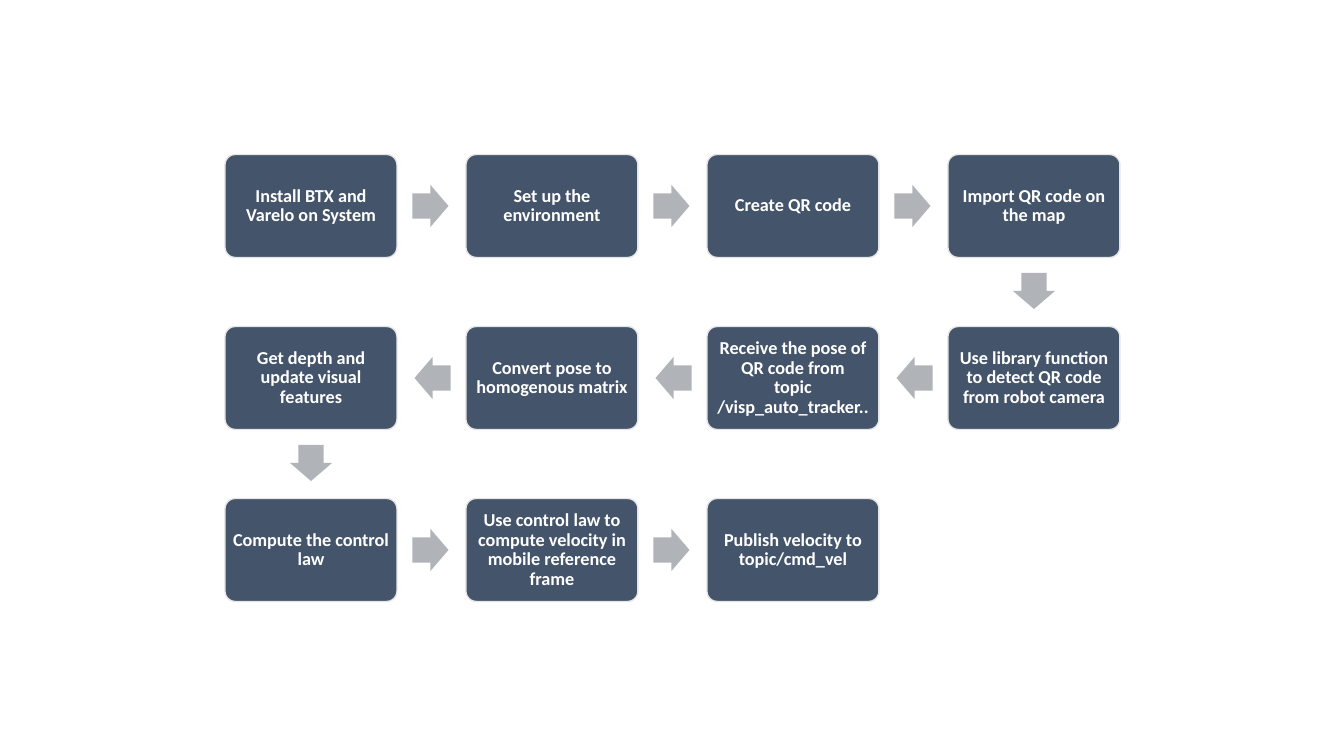
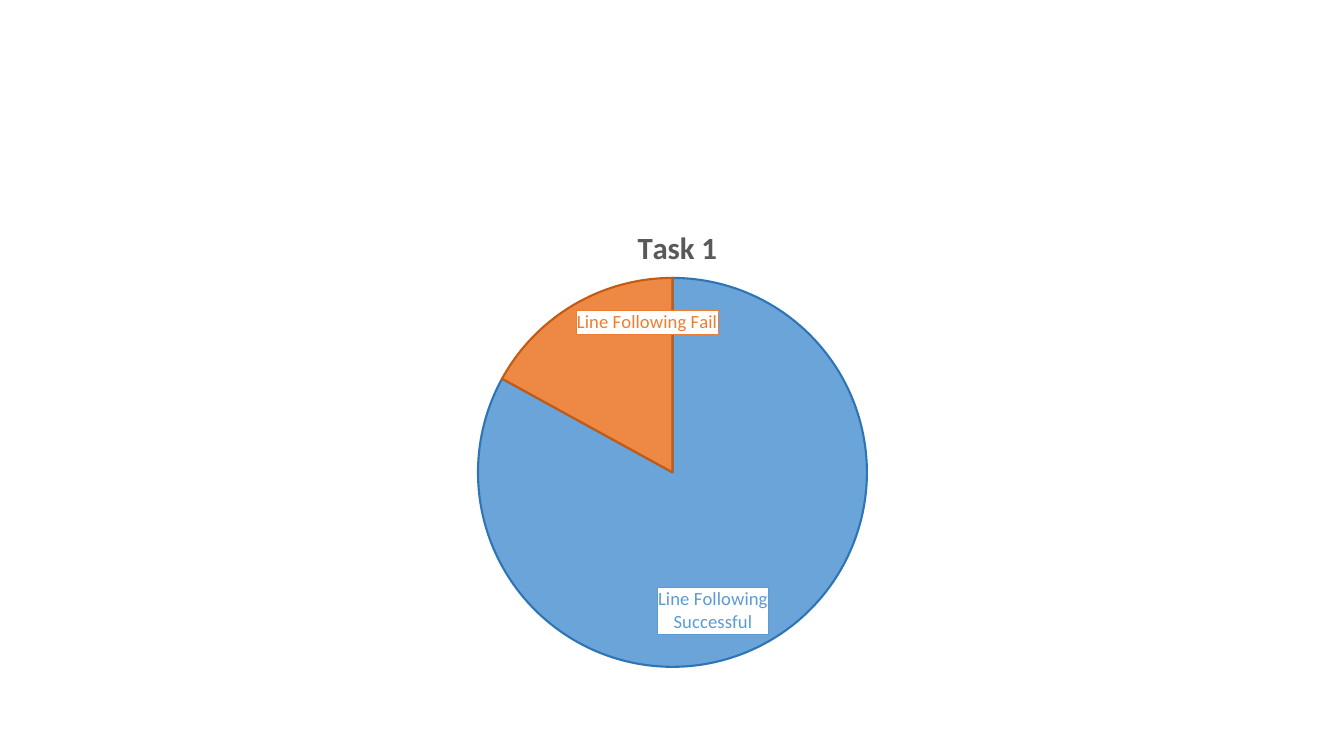
"""Build a robot control flow slide and a task result pie chart."""
from lxml.etree import fromstring
from pptx import Presentation
from pptx.chart.data import CategoryChartData
from pptx.dml.color import RGBColor
from pptx.enum.chart import XL_CHART_TYPE as ChartType, XL_LABEL_POSITION as LabelPosition
from pptx.enum.shapes import MSO_SHAPE as Shape
from pptx.enum.text import MSO_ANCHOR as Anchor, PP_ALIGN as Align
from pptx.oxml import parse_xml
from pptx.oxml.ns import nsdecls
from pptx.util import Pt

PIXEL = 914400 / 100.8
FONT = "Calibri"
WHITE = RGBColor(0xFF, 0xFF, 0xFF)
SLATE = RGBColor(0x44, 0x54, 0x6A)
PALE = RGBColor(0xE7, 0xE6, 0xE6)
SILVER = RGBColor(0xB0, 0xB4, 0xB9)
GREY = RGBColor(0x59, 0x59, 0x59)
BLUE = RGBColor(0x5B, 0x9B, 0xD5)
DARK_BLUE = RGBColor(0x2E, 0x75, 0xB6)
ORANGE = RGBColor(0xED, 0x7D, 0x31)
DARK_ORANGE = RGBColor(0xC5, 0x5A, 0x11)


def px(length):
    return round(length * PIXEL)


class Deck:
    def __init__(self):
        self.presentation = Presentation()
        self.presentation.slide_width = px(1344)
        self.presentation.slide_height = px(756)
        self.slide = None

    def new_slide(self):
        self.slide = self.presentation.slides.add_slide(self.presentation.slide_layouts[6])

    def style(self, font, size, color, bold=False):
        font.name = FONT
        font.size = Pt(size)
        font.bold = bold
        font.color.rgb = color

    def shape(self, kind, center, size, fill, adjustments):
        (x, y), (width, height) = center, size
        shape = self.slide.shapes.add_shape(
            kind, px(x - width / 2), px(y - height / 2), px(width), px(height))
        shape.shadow.inherit = False
        shape.fill.solid()
        shape.fill.fore_color.rgb = fill
        shape.line.fill.background()
        for index, value in enumerate(adjustments):
            shape.adjustments[index] = value
        return shape

    def step(self, center, text):
        box = self.shape(Shape.ROUNDED_RECTANGLE, center, (172, 103), SLATE, [0.1])
        box.line.color.rgb = PALE
        box.line.width = Pt(1)
        frame = box.text_frame
        frame.word_wrap = True
        frame.vertical_anchor = Anchor.MIDDLE
        frame.margin_left = frame.margin_right = px(5)
        frame.margin_top = frame.margin_bottom = px(5)
        frame.text = text
        paragraph = frame.paragraphs[0]
        paragraph.alignment = Align.CENTER
        paragraph.line_spacing = 0.9
        self.style(paragraph.runs[0].font, 13, WHITE, True)

    def arrow(self, start, end):
        across = (end[0] > start[0]) - (end[0] < start[0])
        down = (end[1] > start[1]) - (end[1] < start[1])
        center = ((start[0] + end[0]) / 2 - across, (start[1] + end[1]) / 2 - down)
        arrow = self.shape(Shape.RIGHT_ARROW, center, (36, 42), SILVER, [0.6, 0.5])
        arrow.rotation = 90 if down else 90 - 90 * across

    def pie(self, left, top, width, height, title, slices):
        data = CategoryChartData()
        data.categories = [category for category, *_ in slices]
        data.add_series("Series 1", [value for _, _, value, _, _ in slices])
        chart = self.slide.shapes.add_chart(
            ChartType.PIE, px(left), px(top), px(width), px(height), data).chart
        chart.has_legend = False
        chart.font.name = FONT
        chart.font.size = Pt(10)
        chart.has_title = True
        chart.chart_title.text_frame.text = title
        self.style(chart.chart_title.text_frame.paragraphs[0].runs[0].font, 22, GREY, True)
        title_element = chart._chartSpace.xpath("c:chart/c:title")[0]
        plot_area = chart._chartSpace.xpath("c:chart/c:plotArea")[0]
        self.place(title_element, 1, {"x": 539 / width, "y": 19 / height})
        self.place(plot_area, 0, {"x": 385 / width, "y": 76 / height,
                                  "w": 389 / width, "h": 389 / height})
        plot = chart.plots[0]
        plot.vary_by_categories = True
        series = plot.series[0]
        labels = series.data_labels
        labels.show_category_name = True
        labels.show_value = False
        labels.position = LabelPosition.INSIDE_END
        for index, (category, caption, _, fill, edge) in enumerate(slices):
            point = series.points[index]
            self.slice_format(point.format, fill, edge)
            label = point.data_label
            if caption != category:
                label.text_frame.text = caption
                self.style(label.text_frame.paragraphs[0].runs[0].font, 13.3, fill)
            self.style(label.font, 13.3, fill)
            label.position = LabelPosition.INSIDE_END
        self.label_boxes(series, [fill for _, _, _, fill, _ in slices])

    def place(self, element, position, fractions):
        for layout in element.xpath("c:layout"):
            element.remove(layout)
        target = '<c:layoutTarget val="inner"/>' if "w" in fractions else ""
        modes = "".join(f'<c:{key}Mode val="edge"/>' for key in "xy")
        values = "".join(f'<c:{key} val="{value:.4f}"/>' for key, value in fractions.items())
        element.insert(position, parse_xml(
            f'<c:layout {nsdecls("c")}><c:manualLayout>{target}{modes}{values}'
            '</c:manualLayout></c:layout>'))

    def slice_format(self, slice_format, fill, edge):
        slice_format.fill.solid()
        slice_format.fill.fore_color.rgb = fill
        slice_format.line.color.rgb = edge
        slice_format.line.width = Pt(1.5)

    def label_boxes(self, series, colors):
        for color in series._element.xpath("c:dPt/c:spPr/a:solidFill/a:srgbClr"):
            color.append(fromstring(f'<a:alpha {nsdecls("a")} val="90000"/>'))
        for label, color in zip(series._element.xpath("c:dLbls/c:dLbl"), colors):
            label.xpath("c:showVal")[0].set("val", "0")
            label.xpath("c:showCatName")[0].set("val", "1")
            label.xpath("c:txPr")[0].addprevious(parse_xml(
                f'<c:spPr {nsdecls("c", "a")}>'
                f'<a:solidFill><a:srgbClr val="{WHITE}"/></a:solidFill>'
                f'<a:ln w="9525"><a:solidFill><a:srgbClr val="{color}"/></a:solidFill></a:ln>'
                '</c:spPr>'))


STEPS = [
    "Install BTX and Varelo on System",
    "Set up the environment",
    "Create QR code",
    "Import QR code on the map",
    "Use library function to detect QR code from robot camera",
    "Receive the pose of QR code from topic /visp_auto_tracker..",
    "Convert pose to homogenous matrix",
    "Get depth and update visual features",
    "Compute the control law",
    "Use control law to compute velocity in mobile reference frame",
    "Publish velocity to topic/cmd_vel",
]
COLUMNS = 4
SLICES = [
    ("Line Following Success", "Line Following Successful", 83, BLUE, DARK_BLUE),
    ("Line Following Fail", "Line Following Fail", 17, ORANGE, DARK_ORANGE),
]


def step_center(index):
    row, column = divmod(index, COLUMNS)
    if row % 2:
        column = COLUMNS - 1 - column
    return 311 + 241 * column, 206 + 172 * row


deck = Deck()
deck.new_slide()
centers = [step_center(index) for index in range(len(STEPS))]
for center, text in zip(centers, STEPS):
    deck.step(center, text)
for start, end in zip(centers, centers[1:]):
    deck.arrow(start, end)

deck.new_slide()
deck.pie(93, 202, 1159, 480, "Task 1", SLICES)

deck.presentation.save("out.pptx")
